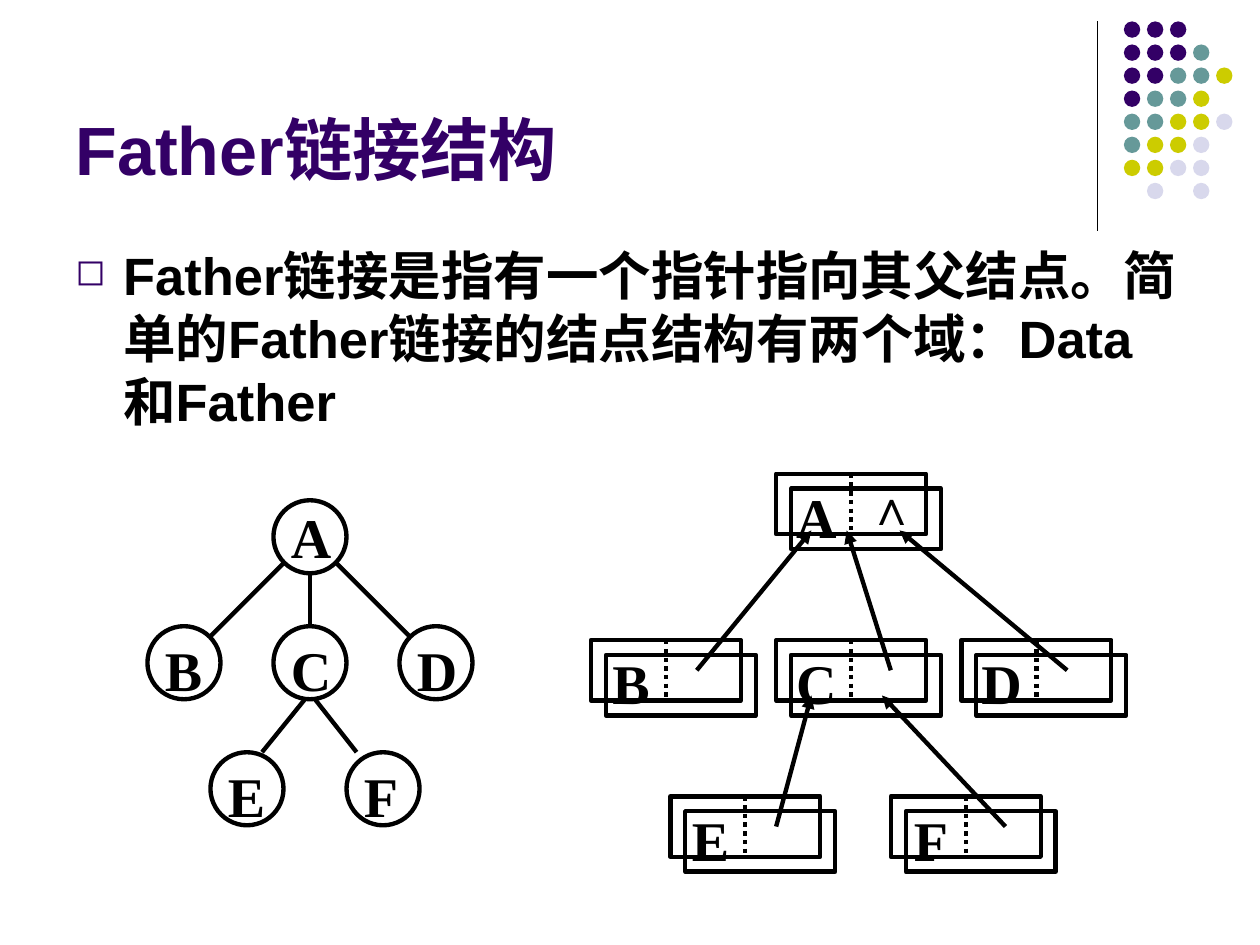
import dataclasses
import typing

import pptx
import pptx.dml.color
import pptx.enum.dml
import pptx.enum.shapes
import pptx.enum.text
import pptx.oxml
import pptx.oxml.ns
import pptx.util
from lxml import etree

Inches = pptx.util.Inches
Shapes = pptx.enum.shapes.MSO_SHAPE
Align = pptx.enum.text.PP_ALIGN
Anchor = pptx.enum.text.MSO_ANCHOR

COLORS = {"ink": "000000", "P": "330066", "T": "669999", "Y": "CCCC00", "L": "D8D8EC"}
DOT_ROWS = ["PPP", "PPPT", "PPTTY", "PTTY", "TTYYL", "TYYL", "YYLL", " L L"]
DOT_PITCH = 0.183
DOT_SIZE = 0.13
CIRCLE_SIZE = 0.58
CELL_WIDTH, CELL_HEIGHT = 1.19, 0.48

TITLE_FONT = {"name": "Arial", "size": pptx.util.Pt(39), "bold": True}
BODY_FONT = {"name": "Arial", "size": pptx.util.Pt(30), "bold": True}
LABEL_FONT = {"name": "Times New Roman", "size": pptx.util.Pt(32), "bold": True}
CARET_FONT = {"name": "Times New Roman", "size": pptx.util.Pt(28), "bold": True}


@dataclasses.dataclass
class Node:
    name: str
    left: float
    top: float
    line_spacing: float = 1.1


@dataclasses.dataclass
class Link:
    start: tuple[float, float]
    end: tuple[float, float]


TREE_NODES = [
    Node("A", 2.17, 3.97, 1.0),
    Node("B", 1.17, 4.97),
    Node("C", 2.17, 4.97),
    Node("D", 3.17, 4.97),
    Node("E", 1.67, 5.97),
    Node("F", 2.75, 5.97),
]
TREE_LINKS = [
    Link((2.46, 4.55), (2.46, 4.97)),
    Link((2.25, 4.47), (1.67, 5.05)),
    Link((2.67, 4.47), (3.25, 5.05)),
    Link((2.42, 5.55), (2.08, 5.97)),
    Link((2.5, 5.55), (2.83, 5.97)),
]
RECORDS = [
    Node("A", 6.16, 3.76),
    Node("B", 4.69, 5.08),
    Node("C", 6.16, 5.08),
    Node("D", 7.63, 5.08),
    Node("E", 5.32, 6.32),
    Node("F", 7.07, 6.32),
]
FATHER_POINTERS = [
    Link((5.53, 5.32), (6.44, 4.21)),
    Link((7.07, 5.32), (6.72, 4.21)),
    Link((8.47, 5.32), (7.14, 4.21)),
    Link((6.16, 6.56), (6.44, 5.52)),
    Link((7.98, 6.56), (7, 5.52)),
]


def rgb(key: str) -> pptx.dml.color.RGBColor:
    return pptx.dml.color.RGBColor.from_string(COLORS[key])


def add_child(parent: typing.Any, tag: str, **values: str) -> typing.Any:
    child = etree.SubElement(parent, pptx.oxml.ns.qn(tag))
    for key, value in values.items():
        child.set(key, value)
    return child


def write(frame: typing.Any, text: str, font: dict, color: str = "ink") -> typing.Any:
    para = frame.paragraphs[0]
    span = para.add_run()
    span.text = text
    for key, value in font.items():
        setattr(span.font, key, value)
    span.font.color.rgb = rgb(color)
    return para


def add_text(page: typing.Any, area: tuple, text: str, font: dict, **settings: typing.Any) -> typing.Any:
    box = page.shapes.add_textbox(*map(Inches, area))
    for key, value in ({"word_wrap": True} | settings).items():
        setattr(box.text_frame, key, value)
    return write(box.text_frame, text, font)


def add_line(page: typing.Any, link: Link, width: float = 2.5,
             dotted: bool = False, arrow: bool = False) -> None:
    line = page.shapes.add_connector(
        pptx.enum.shapes.MSO_CONNECTOR.STRAIGHT, *map(Inches, link.start + link.end))
    line.line.color.rgb = rgb("ink")
    line.line.width = pptx.util.Pt(width)
    if dotted:
        line.line.dash_style = pptx.enum.dml.MSO_LINE.ROUND_DOT
    if arrow:
        add_child(line.line._get_or_add_ln(), "a:tailEnd", type="triangle")
    add_child(line._element.spPr, "a:effectLst")


def add_outline(page: typing.Any, kind: typing.Any, area: tuple) -> typing.Any:
    shape = page.shapes.add_shape(kind, *map(Inches, area))
    shape.fill.background()
    shape.line.color.rgb = rgb("ink")
    shape.line.width = pptx.util.Pt(2.5)
    shape.shadow.inherit = False
    return shape


def add_dots(page: typing.Any) -> None:
    for row, keys in enumerate(DOT_ROWS):
        for column, key in enumerate(keys):
            if key == " ":
                continue
            area = (8.92 + column * DOT_PITCH, 0.17 + row * DOT_PITCH, DOT_SIZE, DOT_SIZE)
            dot = page.shapes.add_shape(Shapes.OVAL, *map(Inches, area))
            dot.fill.solid()
            dot.fill.fore_color.rgb = rgb(key)
            dot.line.fill.background()
            dot.shadow.inherit = False


def add_tree_node(page: typing.Any, node: Node) -> None:
    add_outline(page, Shapes.OVAL, (node.left, node.top, CIRCLE_SIZE, CIRCLE_SIZE))
    para = add_text(page, (node.left + 0.04, node.top - 0.08, CIRCLE_SIZE, 0.69),
                    node.name, LABEL_FONT, margin_top=Inches(0.1))
    para.line_spacing = node.line_spacing


def add_record(page: typing.Any, node: Node) -> None:
    cell = add_outline(page, Shapes.RECTANGLE, (node.left, node.top, CELL_WIDTH, CELL_HEIGHT))
    effects = cell._element.spPr.find(pptx.oxml.ns.qn("a:effectLst"))
    shadow = add_child(effects, "a:outerShdw", dist=str(pptx.util.Pt(12.1)),
                       dir="2700000", algn="ctr", rotWithShape="0")
    add_child(shadow, "a:srgbClr", val=COLORS["ink"])
    middle = node.left + CELL_WIDTH / 2
    add_line(page, Link((middle, node.top), (middle, node.top + CELL_HEIGHT)), dotted=True)
    para = add_text(page, (node.left + 0.04, node.top - 0.03, 0.56, 0.64),
                    node.name, LABEL_FONT, margin_top=Inches(0.1))
    para.alignment = Align.CENTER


def add_heading(page: typing.Any) -> None:
    title = page.shapes.title
    for key, value in {"left": 0.5, "top": 0.13, "width": 8.25, "height": 1.42}.items():
        setattr(title, key, Inches(value))
    title.text_frame.vertical_anchor = Anchor.BOTTOM
    write(title.text_frame, "Father链接结构", TITLE_FONT, "P").alignment = Align.LEFT


def add_body(page: typing.Any) -> None:
    para = add_text(
        page, (0.5, 1.88, 9, 4.82),
        "Father链接是指有一个指针指向其父结点。简单的Father链接的结点结构有两个域：Data和Father",
        BODY_FONT)
    props = para._p.get_or_add_pPr()
    props.set("marL", str(Inches(0.38)))
    props.set("indent", str(Inches(-0.38)))
    add_child(add_child(props, "a:buClr"), "a:srgbClr", val=COLORS["P"])
    add_child(props, "a:buSzPct", val="70000")
    add_child(props, "a:buChar", char="◻")


def main() -> None:
    deck = pptx.Presentation()
    deck.slide_width, deck.slide_height = Inches(10), Inches(7.5)
    page = deck.slides.add_slide(deck.slide_layouts[5])
    add_line(page, Link((8.71, 0.17), (8.71, 1.83)), width=0.75)
    add_dots(page)
    add_heading(page)
    add_body(page)
    for node in TREE_NODES:
        add_tree_node(page, node)
    for link in TREE_LINKS:
        add_line(page, link)
    for node in RECORDS:
        add_record(page, node)
    for link in FATHER_POINTERS:
        add_line(page, link, arrow=True)
    add_text(page, (6.79, 3.73, 0.59, 0.57), "∧", CARET_FONT, word_wrap=False)
    deck.save("out.pptx")


if __name__ == "__main__":
    main()
